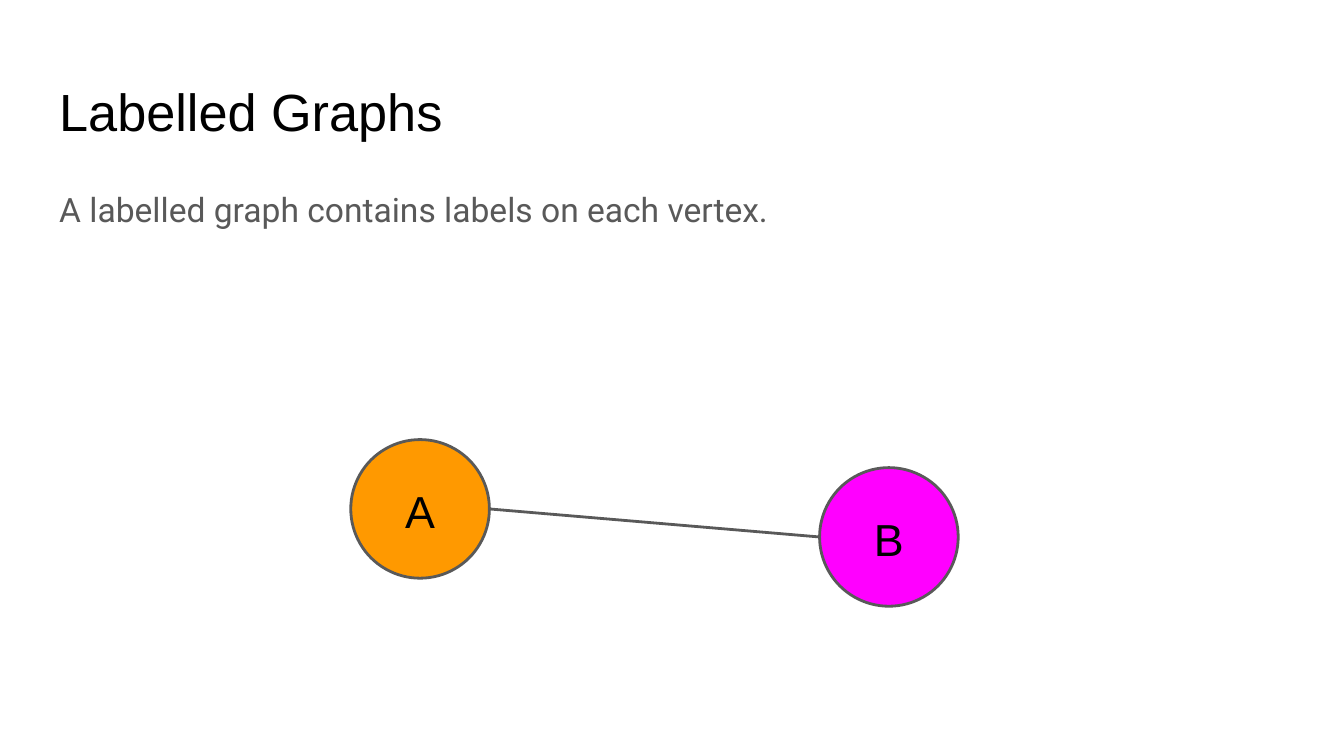
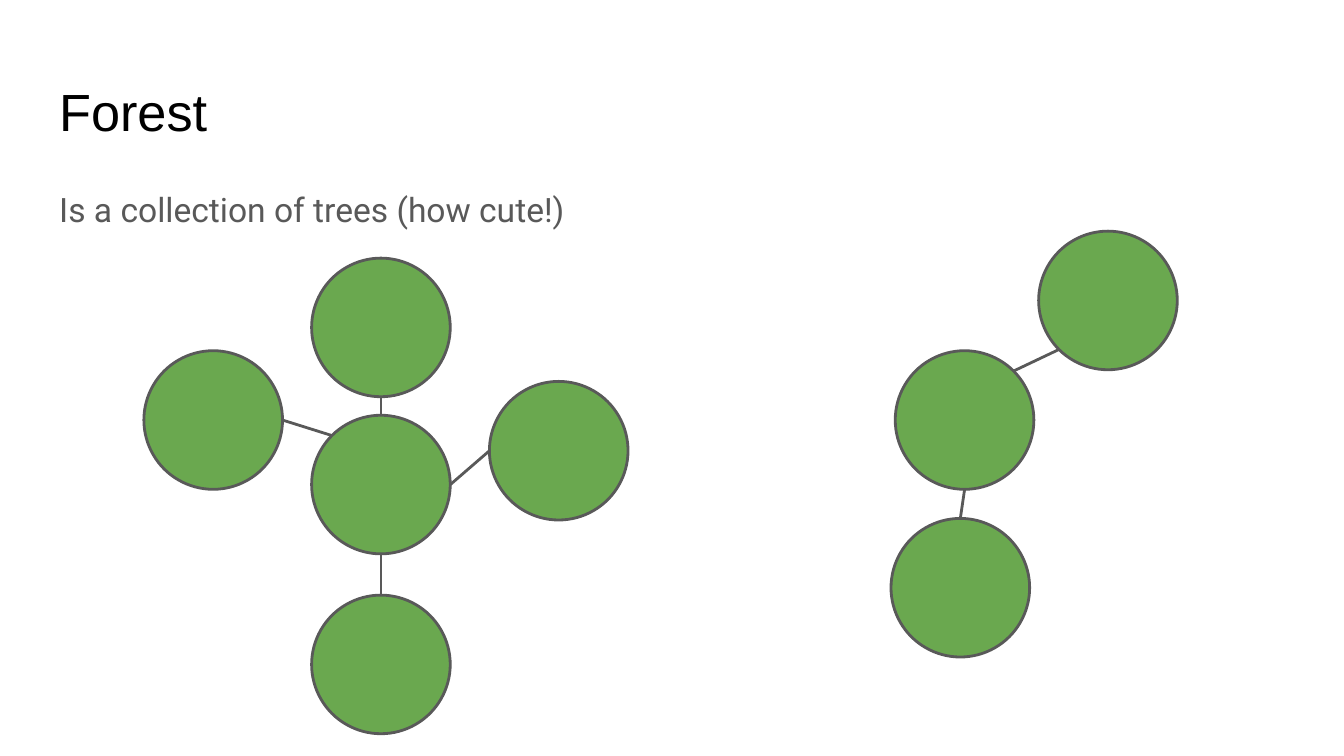
import math
from dataclasses import dataclass

import lxml.etree
import pptx
import pptx.dml.color
import pptx.enum.shapes
import pptx.enum.text
import pptx.oxml.ns
import pptx.util

Cm = pptx.util.Cm
Pt = pptx.util.Pt
RGB = pptx.dml.color.RGBColor.from_string
Align = pptx.enum.text.PP_ALIGN


@dataclass(frozen=True)
class Theme:
    heading_font: str = "Arial"
    body_font: str = "Roboto"
    ink: str = "000000"
    gray: str = "595959"
    orange: str = "FF9900"
    magenta: str = "FF00FF"
    green: str = "6AA84F"
    title_size: int = 28
    body_size: int = 18
    label_size: int = 24
    outline: float = 1.5


theme = Theme()
DIAMETER = 2.62
RIGHT, LOWER_LEFT, BOTTOM, LEFT, UPPER_LEFT, TOP, UPPER_RIGHT = 0, 135, 90, 180, 225, 270, 315

graphs = [
    {
        "title": "Labelled Graphs",
        "sentence": "A labelled graph contains labels on each vertex.",
        "sentence_height": 2.62,
        "vertices": {
            "A": (6.63, 8.31, theme.orange),
            "B": (15.49, 8.84, theme.magenta),
        },
        "edges": [("A", RIGHT, "B", LEFT)],
        "labels": ["A", "B"],
    },
    {
        "title": "Forest",
        "sentence": "Is a collection of trees (how cute!)",
        "sentence_height": 9.5,
        "vertices": {
            "south": (5.89, 11.25, theme.green),
            "branch": (19.63, 4.37, theme.green),
            "foot": (16.84, 9.8, theme.green),
            "trunk": (16.92, 6.63, theme.green),
            "east": (9.25, 7.21, theme.green),
            "north": (5.89, 4.88, theme.green),
            "west": (2.72, 6.63, theme.green),
            "hub": (5.89, 7.85, theme.green),
        },
        "edges": [
            ("west", RIGHT, "hub", UPPER_LEFT),
            ("north", BOTTOM, "hub", TOP),
            ("hub", RIGHT, "east", LEFT),
            ("hub", BOTTOM, "south", TOP),
            ("trunk", BOTTOM, "foot", TOP),
            ("trunk", UPPER_RIGHT, "branch", LOWER_LEFT),
        ],
        "labels": [],
    },
]


def add_text(slide, text, box, font, size, color, align=Align.LEFT):
    frame = slide.shapes.add_textbox(*map(Cm, box)).text_frame
    frame.word_wrap = True
    frame.margin_left = frame.margin_right = Cm(0.25)
    frame.margin_top = frame.margin_bottom = Cm(0.25)
    frame.text = text
    paragraph = frame.paragraphs[0]
    paragraph.alignment = align
    run_font = paragraph.runs[0].font
    run_font.name = font
    run_font.size = Pt(size)
    run_font.color.rgb = RGB(color)
    return paragraph


def rim_point(vertex, degrees):
    left, top, _ = vertex
    radius = DIAMETER / 2
    angle = math.radians(degrees)
    return (
        Cm(left + radius * (1 + math.cos(angle))),
        Cm(top + radius * (1 + math.sin(angle))),
    )


deck = pptx.Presentation()
deck.slide_width = Cm(25.4)
deck.slide_height = Cm(14.29)

for graph in graphs:
    slide = deck.slides.add_slide(deck.slide_layouts[6])
    vertices = graph["vertices"]

    add_text(slide, graph["title"], (0.87, 1.24, 23.67, 1.6),
             theme.heading_font, theme.title_size, theme.ink)
    sentence = add_text(slide, graph["sentence"],
                        (0.87, 3.2, 23.67, graph["sentence_height"]),
                        theme.body_font, theme.body_size, theme.gray)
    sentence.line_spacing = 1.15
    sentence.space_after = Pt(16)

    for left, top, color in vertices.values():
        vertex = slide.shapes.add_shape(
            pptx.enum.shapes.MSO_SHAPE.OVAL,
            Cm(left), Cm(top), Cm(DIAMETER), Cm(DIAMETER))
        vertex.shadow.inherit = False
        vertex.fill.solid()
        vertex.fill.fore_color.rgb = RGB(color)
        vertex.line.color.rgb = RGB(theme.gray)
        vertex.line.width = Pt(theme.outline)

    for start, start_angle, end, end_angle in graph["edges"]:
        edge = slide.shapes.add_connector(
            pptx.enum.shapes.MSO_CONNECTOR.STRAIGHT,
            *rim_point(vertices[start], start_angle),
            *rim_point(vertices[end], end_angle))
        edge.line.color.rgb = RGB(theme.gray)
        edge.line.width = Pt(theme.outline)
        lxml.etree.SubElement(edge._element.spPr, pptx.oxml.ns.qn("a:effectLst"))

    for label in graph["labels"]:
        left, top, _ = vertices[label]
        add_text(slide, label, (left + 0.45, top + 0.58, 1.72, 1.42),
                 theme.heading_font, theme.label_size, theme.ink, Align.CENTER)

deck.save("out.pptx")
